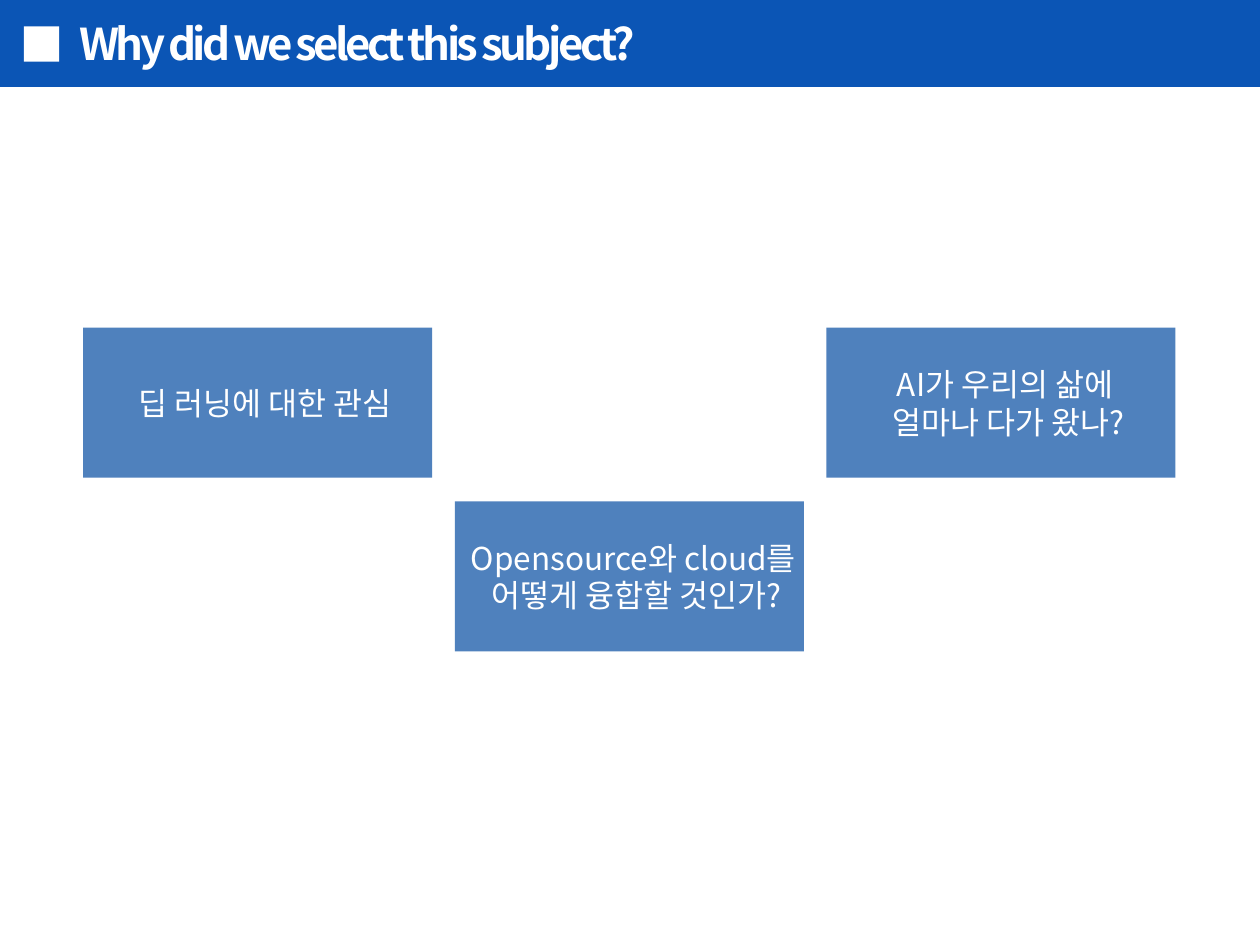
import pptx
import pptx.util
import pptx.dml.color
import pptx.enum.shapes
import pptx.enum.text
import pptx.oxml.ns
import lxml.etree

FONT = "Noto Sans CJK KR"
HUES = {"bar": "0B55B5", "box": "4F81BD", "white": "FFFFFF"}
ALIGN = pptx.enum.text.PP_ALIGN
inch = pptx.util.Inches

deck = pptx.Presentation()
deck.slide_width, deck.slide_height = inch(10), inch(7.5)
slide = deck.slides.add_slide(deck.slide_layouts[5])


def block(left, top, width, height, hue):
    rect = pptx.enum.shapes.MSO_SHAPE.RECTANGLE
    shape = slide.shapes.add_shape(rect, *map(inch, (left, top, width, height)))
    shape.shadow.inherit = False
    shape.fill.solid()
    shape.fill.fore_color.rgb = pptx.dml.color.RGBColor.from_string(HUES[hue])
    shape.line.fill.background()
    return shape


def write(shape, lines, size, align, inset, bold=False, track=0):
    """Fill a shape with one paragraph per line; track is in points."""
    frame = shape.text_frame
    form = {
        "margin_left": inch(inset[0]), "margin_top": inch(inset[1]),
        "margin_right": inch(inset[2]), "margin_bottom": inch(inset[3]),
        "word_wrap": True, "auto_size": pptx.enum.text.MSO_AUTO_SIZE.NONE,
        "vertical_anchor": pptx.enum.text.MSO_ANCHOR.MIDDLE,
    }
    for name, value in form.items():
        setattr(frame, name, value)
    frame.text = "\n".join(lines)
    for para in frame.paragraphs:
        para.alignment = align
        for run in para.runs:
            look = {"name": FONT, "size": pptx.util.Pt(size), "bold": bold}
            for name, value in look.items():
                setattr(run.font, name, value)
            run.font.color.rgb = pptx.dml.color.RGBColor.from_string(HUES["white"])
            props = run._r.get_or_add_rPr()
            if track:
                props.set("spc", str(track * 100))
            east = lxml.etree.SubElement(props, pptx.oxml.ns.qn("a:ea"))
            east.set("typeface", FONT)


# Header: bar, square mark and title
block(0, 0, 10, 0.69, "bar")
block(0.19, 0.21, 0.28, 0.28, "white")
title = slide.shapes.title
spot = {"left": 0.63, "top": 0.13, "width": 9.25, "height": 0.42}
for name, value in spot.items():
    setattr(title, name, inch(value))
write(title, ["Why did we select this subject?"], 25, ALIGN.LEFT,
      (0, 0, 0, 0), bold=True, track=-2)
slide.shapes._spTree.append(title._element)  # bring in front of the bar

# Reasons: three columns on two rows
WIDE, HIGH = 2.77, 1.19
LEFT, TOP = 0.66, 2.6
COL, ROW = 2.95, 1.38
reasons = [
    (1, 1, ["Opensource와 cloud를 ", "어떻게 융합할 것인가?"]),
    (2, 0, ["AI가 우리의 삶에 ", "얼마나 다가 왔나?"]),
    (0, 0, ["딥 러닝에 대한 관심"]),
]
for col, row, lines in reasons:
    box = block(LEFT + col * COL, TOP + row * ROW, WIDE, HIGH, "box")
    write(box, lines, 18, ALIGN.CENTER, (0.12, 0.02, 0, 0.02))

deck.save("out.pptx")
